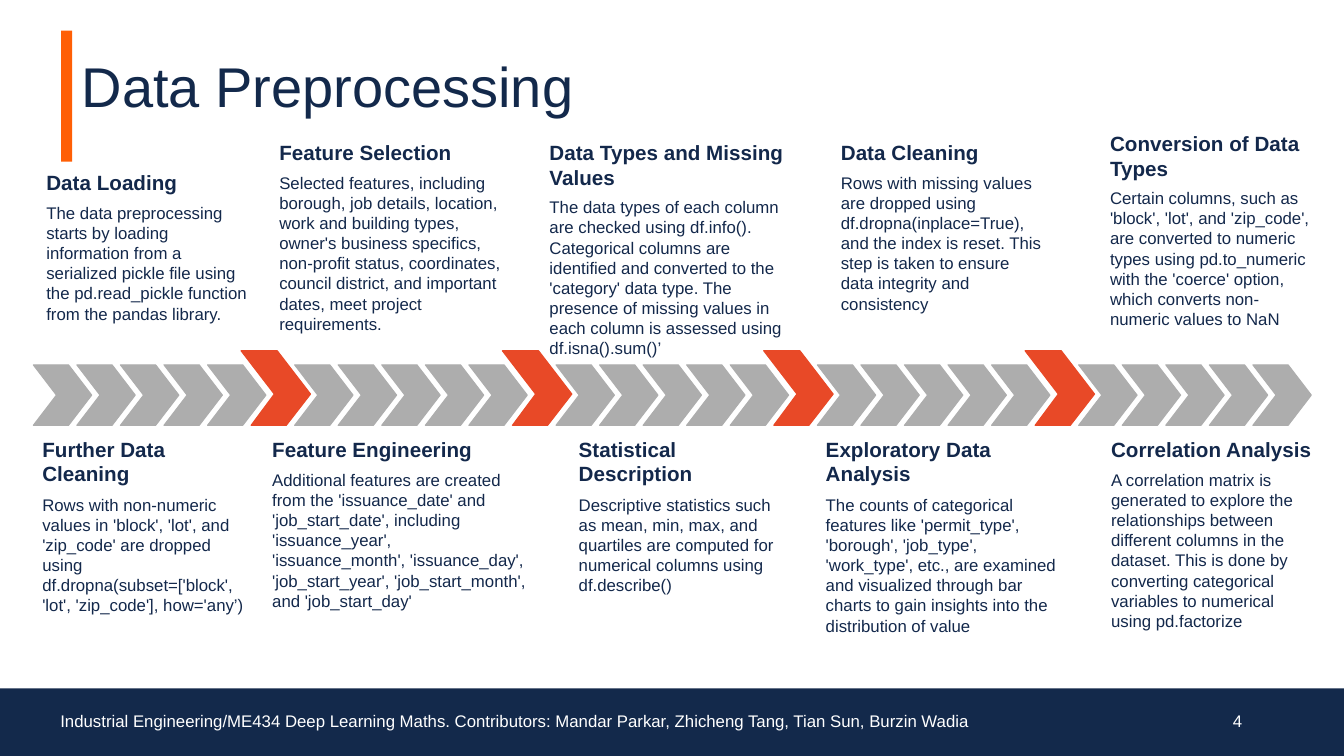
from dataclasses import dataclass
from pptx import Presentation
from pptx.dml.color import RGBColor as Rgb
from pptx.enum.shapes import MSO_SHAPE as Kind
from pptx.enum.text import MSO_ANCHOR as Anchor, MSO_AUTO_SIZE as Fit, PP_ALIGN as Align
from pptx.util import Inches, Pt


@dataclass(frozen=True)
class Theme:
    font: str = "Arial"
    navy: str = "13294B"
    ink: str = "13284B"
    orange: str = "FF5F05"
    red: str = "E84927"
    gray: str = "ADADAD"
    white: str = "FFFFFF"
    title: float = 40
    head: float = 14.7
    body: float = 12
    edge: float = 0.75
    cell: float = 0.1


class Deck:
    def __init__(self, theme):
        self.theme = theme
        self.file = Presentation()
        self.file.slide_width = Inches(13.33)
        self.file.slide_height = Inches(7.5)
        self.slide = self.file.slides.add_slide(self.file.slide_layouts[5])

    def grid(self, *cells):
        return [Inches(n * self.theme.cell) for n in cells]

    def paint(self, shape, color, edge=0):
        shape.shadow.inherit = False
        shape.fill.solid()
        shape.fill.fore_color.rgb = Rgb.from_string(color)
        if edge:
            shape.line.color.rgb = Rgb.from_string(color)
            shape.line.width = Pt(edge)
        else:
            shape.line.fill.background()

    def run(self, para, text, size, color, bold=False):
        run = para.add_run()
        run.text = text
        run.font.name = self.theme.font
        run.font.size = Pt(size)
        run.font.bold = bold
        run.font.color.rgb = Rgb.from_string(color)

    def frame(self, shape, pad, anchor):
        frame = shape.text_frame
        frame.word_wrap = True
        frame.auto_size = Fit.NONE
        frame.vertical_anchor = anchor
        frame.margin_left, frame.margin_top, frame.margin_right, frame.margin_bottom = self.grid(
            pad, pad / 2, pad, pad / 2)
        return frame

    def heading(self, text, *box):
        shape = self.slide.shapes.title
        shape.left, shape.top, shape.width, shape.height = self.grid(*box)
        para = self.frame(shape, 1, Anchor.MIDDLE).paragraphs[0]
        para.alignment = Align.LEFT
        para.line_spacing = 0.9
        self.run(para, text, self.theme.title, self.theme.navy)

    def bar(self, color, *box):
        shape = self.slide.shapes.add_shape(Kind.RECTANGLE, *self.grid(*box))
        self.paint(shape, color)

    def label(self, text, align, *box):
        shape = self.slide.shapes.add_textbox(*self.grid(*box))
        para = self.frame(shape, 1, Anchor.MIDDLE).paragraphs[0]
        para.alignment = align
        self.run(para, text, self.theme.body, self.theme.white)

    def step(self, head, body, gap, *box):
        shape = self.slide.shapes.add_textbox(*self.grid(*box))
        frame = self.frame(shape, 0, Anchor.TOP)
        self.run(frame.paragraphs[0], head, self.theme.head, self.theme.ink, True)
        para = frame.add_paragraph()
        para.space_before = Pt(gap)
        self.run(para, body, self.theme.body, self.theme.ink)

    def arrow(self, *box):
        shape = self.slide.shapes.add_shape(Kind.CHEVRON, *self.grid(*box))
        shape.adjustments[0] = 0.396
        self.paint(shape, self.theme.gray, self.theme.edge)

    def marker(self, left, top):
        edge = [(-1, -1.4), (2.6, -1.4), (5.9, 2.9), (3.5, 6), (0, 6), (2.3, 2.9)]
        spots = [self.grid(left + x, top + y) for x, y in edge]
        path = self.slide.shapes.build_freeform(*spots[0])
        path.add_line_segments(spots[1:], close=True)
        self.paint(path.convert_to_shape(), self.theme.red, self.theme.edge)

    def chain(self, left, top, pitch, count, every):
        for n in range(count):
            spot = left + n * pitch
            if n % every == every - 1:
                self.marker(spot, top)
            else:
                self.arrow(spot, top, 5.8, 6)


UPPER = [
    (4.6, 16.9, 20, 15.9, "Data Loading",
     "The data preprocessing starts by loading information from a serialized pickle file using "
     "the pd.read_pickle function from the pandas library."),
    (27.7, 13.9, 23.2, 19.2, "Feature Selection",
     "Selected features, including borough, job details, location, work and building types, "
     "owner's business specifics, non-profit status, coordinates, council district, and "
     "important dates, meet project requirements."),
    (54.5, 13.9, 23.6, 22, "Data Types and Missing Values",
     "The data types of each column are checked using df.info(). Categorical columns are "
     "identified and converted to the 'category' data type. The presence of missing values in "
     "each column is assessed using df.isna().sum()’"),
    (83.4, 13.9, 20, 17.9, "Data Cleaning",
     "Rows with missing values are dropped using df.dropna(inplace=True), and the index is "
     "reset. This step is taken to ensure data integrity and consistency"),
    (110.1, 13, 20, 13.3, "Conversion of Data Types",
     "Certain columns, such as 'block', 'lot', and 'zip_code', are converted to numeric types "
     "using pd.to_numeric with the 'coerce' option, which converts non-numeric values to NaN"),
]

LOWER = [
    (4.2, 20, "Further Data Cleaning",
     "Rows with non-numeric values in 'block', 'lot', and 'zip_code' are dropped using "
     "df.dropna(subset=['block', 'lot', 'zip_code'], how='any’)"),
    (27, 25.3, "Feature Engineering",
     "Additional features are created from the 'issuance_date' and 'job_start_date', including "
     "'issuance_year', 'issuance_month', 'issuance_day', 'job_start_year', 'job_start_month', "
     "and 'job_start_day'"),
    (57.4, 20, "Statistical Description",
     "Descriptive statistics such as mean, min, max, and quartiles are computed for numerical "
     "columns using df.describe()"),
    (81.9, 23, "Exploratory Data Analysis",
     "The counts of categorical features like 'permit_type', 'borough', 'job_type', "
     "'work_type', etc., are examined and visualized through bar charts to gain insights into "
     "the distribution of value"),
    (110.2, 20, "Correlation Analysis",
     "A correlation matrix is generated to explore the relationships between different columns "
     "in the dataset. This is done by converting categorical variables to numerical using "
     "pd.factorize"),
]


def main():
    theme = Theme()
    deck = Deck(theme)
    deck.bar(theme.orange, 6.05, 3.05, 1.1, 13)
    deck.bar(theme.navy, 0, 68.3, 133.3, 6.7)
    deck.label("Industrial Engineering/ME434 Deep Learning Maths. Contributors: Mandar Parkar, "
               "Zhicheng Tang, Tian Sun, Burzin Wadia", Align.LEFT, 5, 69.5, 99.9, 4)
    deck.label("4", Align.RIGHT, 94.2, 69.5, 30, 4)
    deck.heading("Data Preprocessing", 7.1, 3, 107.9, 11.8)
    deck.chain(3.3, 36.2, 4.32, 29, 6)
    for left, top, width, height, head, body in UPPER:
        deck.step(head, body, 5.3, left, top, width, height)
    for left, width, head, body in LOWER:
        deck.step(head, body, 6, left, 43.3, width, 19.4)
    deck.file.save("out.pptx")


if __name__ == "__main__":
    main()
